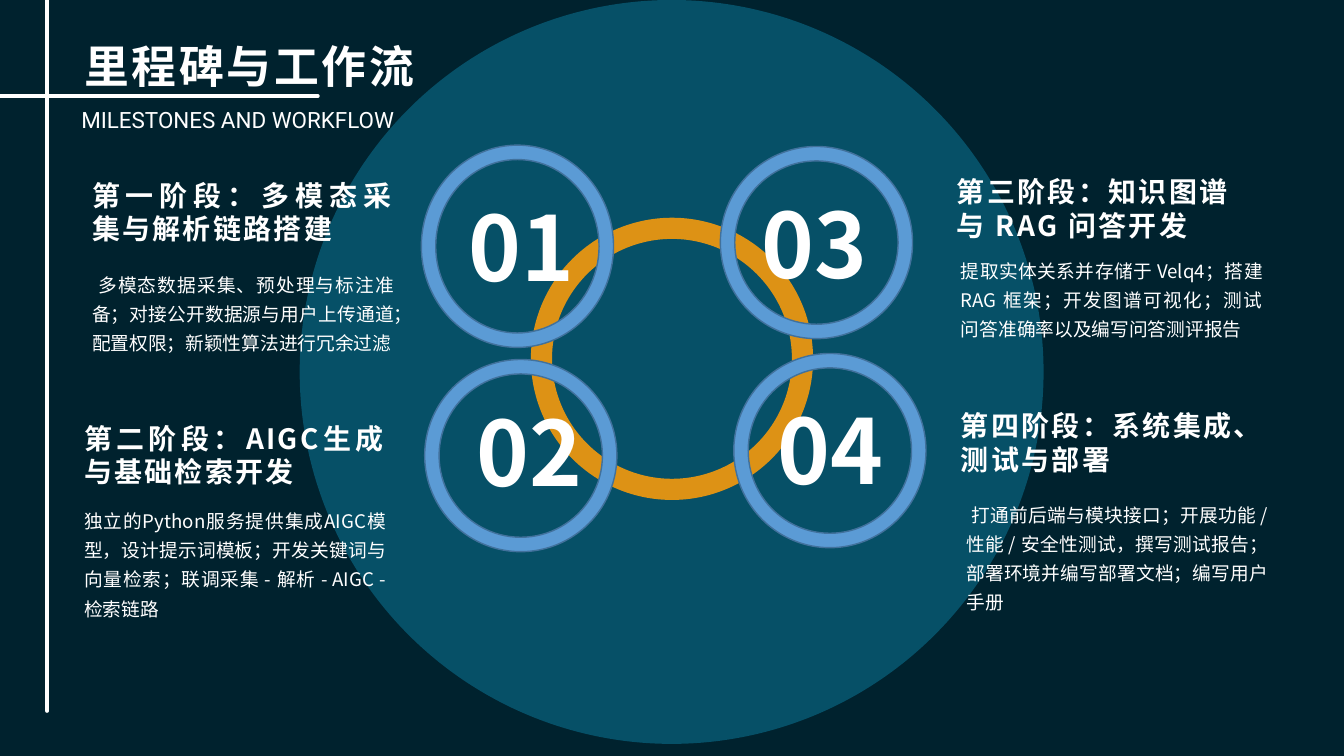
from lxml.etree import SubElement
from pptx import Presentation
from pptx.dml.color import RGBColor
from pptx.enum.shapes import MSO_CONNECTOR as Connector, MSO_SHAPE as Shape
from pptx.enum.text import PP_ALIGN as Align
from pptx.oxml.ns import qn
from pptx.util import Inches, Pt

NIGHT = RGBColor(0x00, 0x22, 0x2E)
TEAL = RGBColor(0x0B, 0x76, 0x96)
ORANGE = RGBColor(0xDD, 0x92, 0x15)
BLUE = RGBColor(0x5B, 0x9B, 0xD5)
BLUE_EDGE = RGBColor(0x41, 0x71, 0x9C)
WHITE = RGBColor(0xFF, 0xFF, 0xFF)

COLUMNS, ROWS = 20, 11.25
COPY_WIDTH = 4.49
SANS = "Noto Sans CJK SC"

STAGES = [
    {
        "number": "01", "number_at": (6.65, 2.86), "ring": (6.27, 2.16, 2.86, 3.01),
        "heading": "第一阶段：多模态采集与解析链路搭建", "heading_at": (1.37, 2.65),
        "detail": " 多模态数据采集、预处理与标注准备；对接公开数据源与用户上传通道；配置权限；新颖性算法进行冗余过滤",
        "detail_at": (1.37, 3.97), "detail_rows": 3.12, "heading_align": Align.JUSTIFY,
    },
    {
        "number": "02", "number_at": (6.77, 5.91), "ring": (6.32, 5.35, 2.86, 2.86),
        "heading": "第二阶段：AIGC生成与基础检索开发", "heading_at": (1.25, 6.27),
        "detail": "独立的Python服务提供集成AIGC模型，设计提示词模板；开发关键词与向量检索；联调采集 - 解析 - AIGC - 检索链路",
        "detail_at": (1.25, 7.49), "detail_rows": 2.11, "heading_align": Align.JUSTIFY,
    },
    {
        "number": "03", "number_at": (11.02, 2.81), "ring": (10.72, 2.18, 2.86, 2.86),
        "heading": "第三阶段：知识图谱与 RAG 问答开发", "heading_at": (14.24, 2.6),
        "detail": "提取实体关系并存储于 Velq4；搭建 RAG 框架；开发图谱可视化；测试问答准确率以及编写问答测评报告",
        "detail_at": (14.3, 3.76), "detail_rows": 1.25, "heading_align": Align.LEFT,
    },
    {
        "number": "04", "number_at": (11.25, 5.87), "ring": (10.92, 5.26, 2.86, 2.89),
        "heading": "第四阶段：系统集成、测试与部署", "heading_at": (14.3, 6.08),
        "detail": " 打通前后端与模块接口；开展功能 / 性能 / 安全性测试，撰写测试报告；部署环境并编写部署文档；编写用户手册",
        "detail_at": (14.38, 7.39), "detail_rows": 3.12, "heading_align": Align.LEFT,
    },
]


class Deck:
    """Draws styled elements on a slide measured in grid columns and rows."""

    def __init__(self):
        self.presentation = Presentation()
        self.presentation.slide_width = Inches(COLUMNS)
        self.presentation.slide_height = Inches(ROWS)
        self.slide = self.presentation.slides.add_slide(self.presentation.slide_layouts[6])
        backdrop = self.slide.background.fill
        backdrop.solid()
        backdrop.fore_color.rgb = NIGHT

    def rule(self, start, end):
        stroke = self.slide.shapes.add_connector(
            Connector.STRAIGHT, *(Inches(cells) for cells in (*start, *end)))
        stroke.line.color.rgb = WHITE
        stroke.line.width = Pt(4)
        stroke.line._get_or_add_ln().set("cap", "rnd")
        SubElement(stroke._element.spPr, qn("a:effectLst"))

    def round(self, kind, box, color, edge=None):
        figure = self.slide.shapes.add_shape(kind, *(Inches(cells) for cells in box))
        figure.shadow.inherit = False
        figure.fill.solid()
        figure.fill.fore_color.rgb = color
        if edge:
            figure.line.color.rgb = edge
            figure.line.width = Pt(1.5)
        else:
            figure.line.fill.background()
        return figure

    def disc(self, box, color, opacity):
        figure = self.round(Shape.OVAL, box, color)
        tint = figure.fill._xPr.find(qn("a:solidFill"))[0]
        SubElement(tint, qn("a:alpha")).set("val", str(opacity * 1000))

    def ring(self, box, color, edge=None):
        self.round(Shape.DONUT, box, color, edge).adjustments[0] = 0.075

    def text(self, words, at, size, points, leading=1.2, align=Align.LEFT,
             bold=False, spacing=0, face=SANS):
        frame = self.slide.shapes.add_textbox(
            *(Inches(cells) for cells in (*at, *size))).text_frame
        frame.word_wrap = True
        frame.margin_left = frame.margin_right = frame.margin_top = frame.margin_bottom = 0
        frame.text = words
        paragraph = frame.paragraphs[0]
        paragraph.alignment = align
        paragraph.line_spacing = Pt(points * leading)
        font = paragraph.runs[0].font
        font.size = Pt(points)
        font.bold = bold
        font.color.rgb = WHITE
        font.name = face
        SubElement(font._element, qn("a:ea")).set("typeface", face)
        if spacing:
            font._element.set("spc", str(int(spacing * 100)))

    def stage(self, stage):
        self.ring(stage["ring"], BLUE, BLUE_EDGE)
        self.text(stage["number"], stage["number_at"], (2.21, 1.59), 96,
                  align=Align.CENTER, bold=True)
        self.text(stage["heading"], stage["heading_at"], (COPY_WIDTH, 1.01), 30,
                  align=stage["heading_align"], bold=True, spacing=2.5)
        self.text(stage["detail"], stage["detail_at"], (COPY_WIDTH, stage["detail_rows"]), 20,
                  leading=1.56, align=Align.JUSTIFY)


def main():
    deck = Deck()
    deck.rule((0.7, -0.02), (0.7, 10.58))
    deck.rule((-0.14, 1.43), (4.73, 1.43))
    deck.disc((4.46, 0, 11.07, 11.07), TEAL, 55)
    deck.ring((7.9, 3.24, 4.2, 4.2), ORANGE)
    deck.text("里程碑与工作流", (1.25, 0.57), (5.52, 0.79), 48, bold=True, spacing=3)
    deck.text("MILESTONES AND WORKFLOW", (1.21, 1.58), (5.06, 0.41), 24, face="Roboto")
    for stage in STAGES:
        deck.stage(stage)
    deck.presentation.save("out.pptx")


if __name__ == "__main__":
    main()
